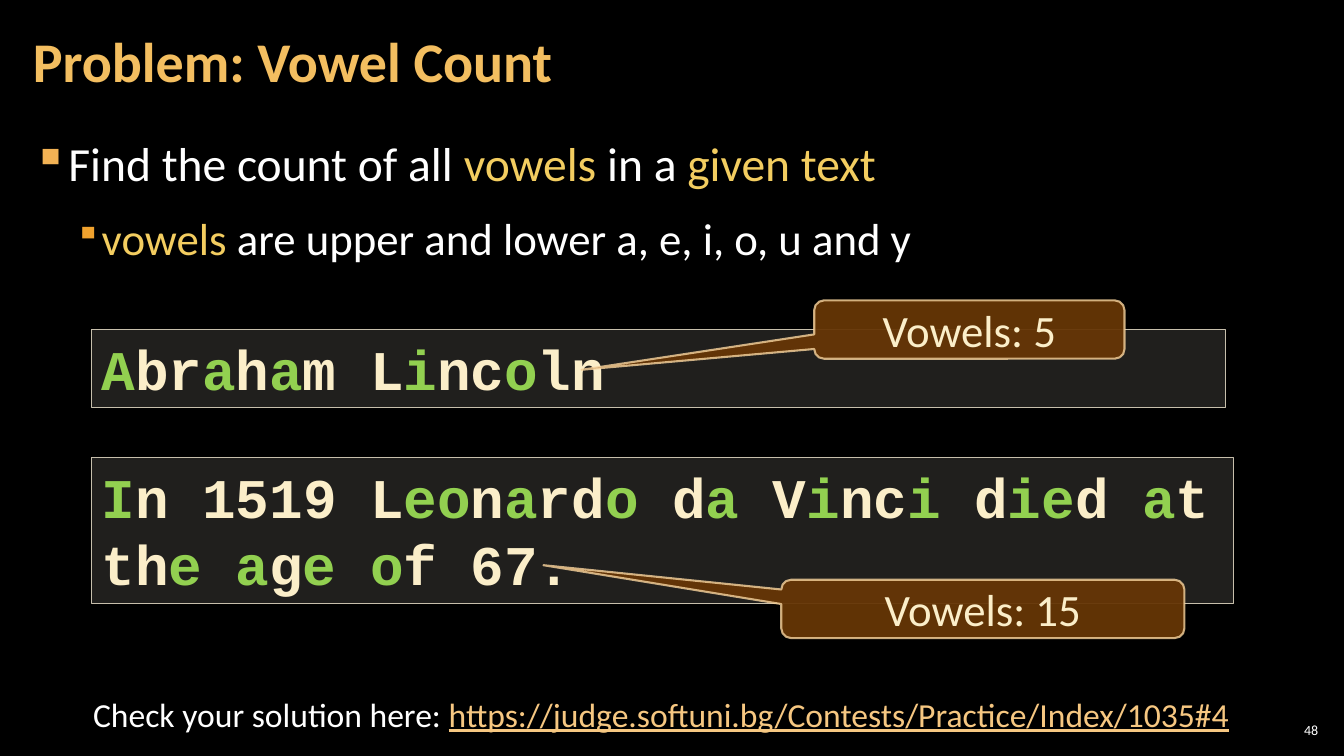
"""Build the Vowel Count problem slide."""
from dataclasses import dataclass
from itertools import groupby

from lxml import etree
from pptx import Presentation
from pptx.dml.color import RGBColor
from pptx.enum.shapes import MSO_SHAPE
from pptx.enum.text import MSO_ANCHOR, PP_ALIGN
from pptx.oxml.ns import qn
from pptx.util import Cm, Pt

RECT, CALLOUT = MSO_SHAPE.RECTANGLE, MSO_SHAPE.ROUNDED_RECTANGULAR_CALLOUT
TOP, MIDDLE = MSO_ANCHOR.TOP, MSO_ANCHOR.MIDDLE
LEFT, CENTER, RIGHT = PP_ALIGN.LEFT, PP_ALIGN.CENTER, PP_ALIGN.RIGHT

BLACK = RGBColor(0x00, 0x00, 0x00)
WHITE = RGBColor(0xFF, 0xFF, 0xFF)
TITLE = RGBColor(0xF3, 0xBE, 0x60)
YELLOW = RGBColor(0xF3, 0xCD, 0x60)
ORANGE = RGBColor(0xF2, 0xB2, 0x54)
AMBER = RGBColor(0xF0, 0xA2, 0x2E)
LINK = RGBColor(0xF6, 0xC7, 0x81)
CREAM = RGBColor(0xFB, 0xEE, 0xC9)
GREEN = RGBColor(0x92, 0xD0, 0x50)
CODE_FILL = RGBColor(0xD9, 0xD5, 0xC7)
CODE_LINE = RGBColor(0xC7, 0xBF, 0xAC)
CALLOUT_FILL = RGBColor(0x66, 0x36, 0x06)
CALLOUT_LINE = RGBColor(0xF8, 0xD4, 0x9E)

VOWELS = "aeiouy"


@dataclass
class Box:
    left: float
    top: float
    width: float
    height: float


@dataclass
class Code:
    box: Box
    text: str


@dataclass
class Answer:
    box: Box
    text: str
    tip: tuple[float, float]


@dataclass
class Bullet:
    runs: list
    size: float
    margin: float
    hanging: float
    color: RGBColor
    percent: int
    before: float


CODES = [
    Code(Box(2.31, 8.31, 28.58, 1.96), "Abraham Lincoln"),
    Code(Box(2.31, 11.53, 28.78, 3.68),
         "In 1519 Leonardo da Vinci died at the age of 67."),
]
ANSWERS = [
    Answer(Box(20.52, 7.57, 7.82, 1.47), "Vowels: 5", (-1.25, 0.69)),
    Answer(Box(19.69, 14.61, 10.16, 1.47), "Vowels: 15", (-1.09, -0.75)),
]
BULLETS = [
    Bullet([("Find the count of all ", WHITE), ("vowels", YELLOW),
            (" in a ", WHITE), ("given text", YELLOW)],
           34, 0.84, 0.84, ORANGE, 100, 0),
    Bullet([("vowels ", YELLOW),
            ("are upper and lower a, e, i, o, u and y", WHITE)],
           32, 1.7, 0.64, AMBER, 80, 6),
]


def add_run(p, text: str, *, size: float, color: RGBColor, font: str = "Calibri",
            bold: bool = False, underline: bool = False) -> None:
    r = p.add_run()
    r.text = text
    r.font.name, r.font.size = font, Pt(size)
    r.font.bold, r.font.underline = bold, underline
    r.font.color.rgb = color


def set_frame(sp, anchor=TOP, inset: tuple[float, float] = (0.25, 0.13)):
    tf = sp.text_frame
    tf.word_wrap = True
    tf.vertical_anchor = anchor
    tf.margin_left = tf.margin_right = Cm(inset[0])
    tf.margin_top = tf.margin_bottom = Cm(inset[1])
    return tf


def add_text(s, box: Box, anchor=TOP, inset: tuple[float, float] = (0.25, 0.13)):
    sp = s.shapes.add_textbox(Cm(box.left), Cm(box.top), Cm(box.width), Cm(box.height))
    return set_frame(sp, anchor, inset)


def set_opacity(fill_parent, percent: int) -> None:
    clr = fill_parent.find(qn("a:solidFill")).find(qn("a:srgbClr"))
    etree.SubElement(clr, qn("a:alpha")).set("val", str(percent * 1000))


def add_panel(s, kind, box: Box, *, fill: RGBColor, opacity: int, line: RGBColor,
              width: float, line_opacity: int = 100):
    sp = s.shapes.add_shape(kind, Cm(box.left), Cm(box.top), Cm(box.width), Cm(box.height))
    sp.shadow.inherit = False
    sp.fill.solid()
    sp.fill.fore_color.rgb = fill
    sp.line.color.rgb = line
    sp.line.width = Pt(width)
    sppr = sp._element.spPr
    set_opacity(sppr, opacity)
    set_opacity(sppr.find(qn("a:ln")), line_opacity)
    return sp


def add_bullet(p, bullet: Bullet) -> None:
    ppr = p._p.get_or_add_pPr()
    ppr.set("marL", str(Cm(bullet.margin)))
    ppr.set("indent", str(-Cm(bullet.hanging)))
    clr = etree.SubElement(ppr, qn("a:buClr"))
    etree.SubElement(clr, qn("a:srgbClr")).set("val", str(bullet.color))
    etree.SubElement(ppr, qn("a:buSzPct")).set("val", str(bullet.percent * 1000))
    etree.SubElement(ppr, qn("a:buChar")).set("char", "▪")
    p.line_spacing = 1.05
    p.space_before, p.space_after = Pt(bullet.before), Pt(6)
    for text, color in bullet.runs:
        add_run(p, text, size=bullet.size, color=color)


def add_code(s, code: Code) -> None:
    sp = add_panel(s, RECT, code.box, fill=CODE_FILL, opacity=15, line=CODE_LINE, width=1)
    p = set_frame(sp).paragraphs[0]
    p.alignment = LEFT
    for is_vowel, chars in groupby(code.text, lambda c: c.lower() in VOWELS):
        add_run(p, "".join(chars), size=40, font="Courier New", bold=True,
                color=GREEN if is_vowel else CREAM)


def add_answer(s, answer: Answer) -> None:
    sp = add_panel(s, CALLOUT, answer.box, fill=CALLOUT_FILL, opacity=95,
                   line=CALLOUT_LINE, width=1.5, line_opacity=80)
    sp.adjustments[0], sp.adjustments[1] = answer.tip
    p = set_frame(sp, MIDDLE).paragraphs[0]
    p.alignment = CENTER
    add_run(p, answer.text, size=32, color=CREAM)


def main() -> None:
    prs = Presentation()
    prs.slide_width, prs.slide_height = Cm(33.87), Cm(19.05)
    s = prs.slides.add_slide(prs.slide_layouts[6])
    s.background.fill.solid()
    s.background.fill.fore_color.rgb = BLACK

    p = add_text(s, Box(32.13, 18.14, 1.19, 0.53), MIDDLE, (0.1, 0.1)).paragraphs[0]
    p.alignment = RIGHT
    add_run(p, "48", size=10, color=WHITE)

    tf = add_text(s, Box(0.53, 3.2, 32.8, 15.47), TOP, (0.3, 0.1))
    for i, bullet in enumerate(BULLETS):
        add_bullet(tf.add_paragraph() if i else tf.paragraphs[0], bullet)

    p = add_text(s, Box(0.53, 0.1, 26.6, 3.07), MIDDLE, (0.3, 0.1)).paragraphs[0]
    p.line_spacing = 0.9
    add_run(p, "Problem: Vowel Count", size=40, color=TITLE, bold=True)

    for code in CODES:
        add_code(s, code)
    for answer in ANSWERS:
        add_answer(s, answer)

    p = add_text(s, Box(0, 17.35, 33.32, 1.27)).paragraphs[0]
    p.alignment = CENTER
    add_run(p, "Check your solution here: ", size=24, color=WHITE)
    add_run(p, "https://judge.softuni.bg/Contests/Practice/Index/1035#4",
            size=24, color=LINK, underline=True)

    prs.save("out.pptx")


if __name__ == "__main__":
    main()
